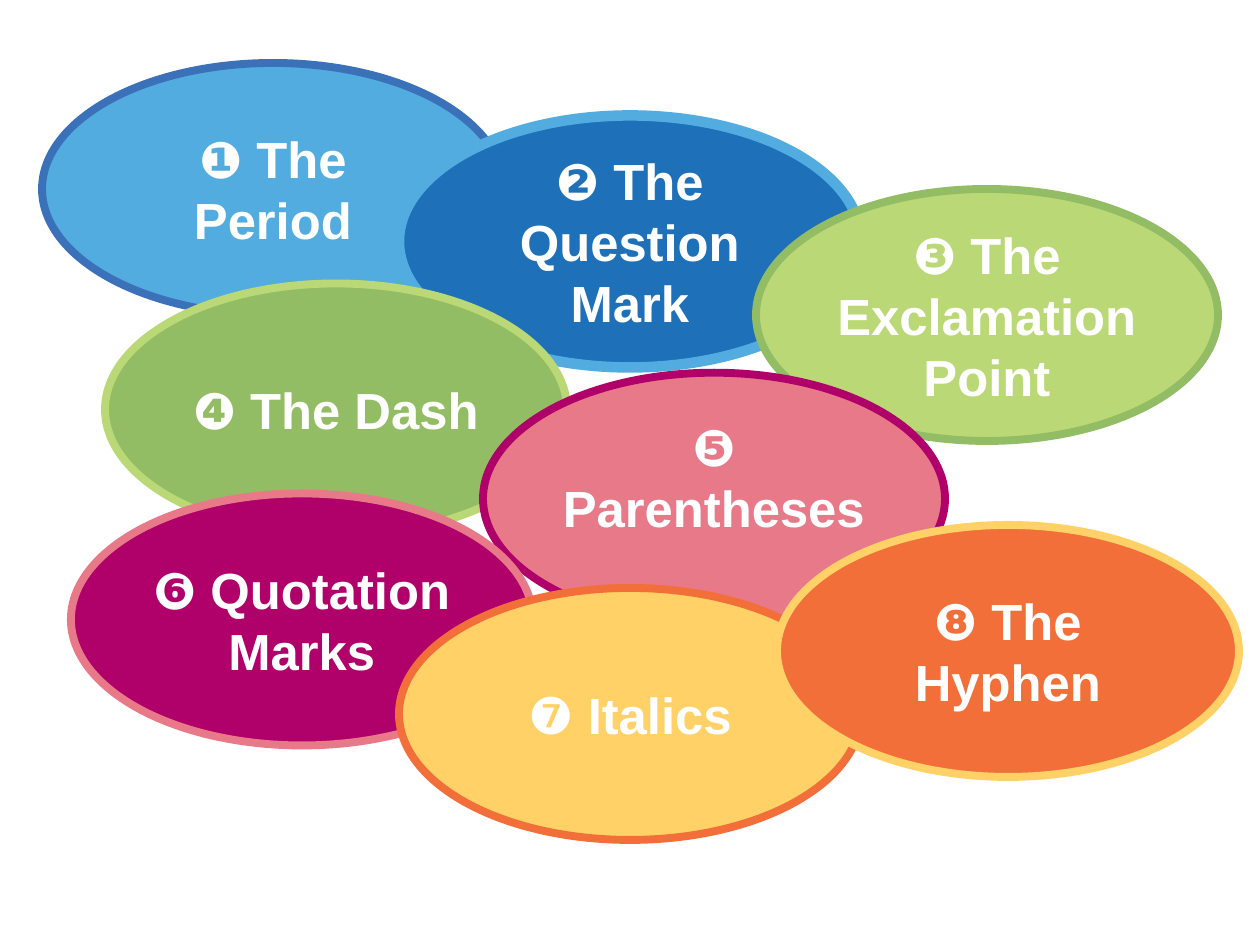
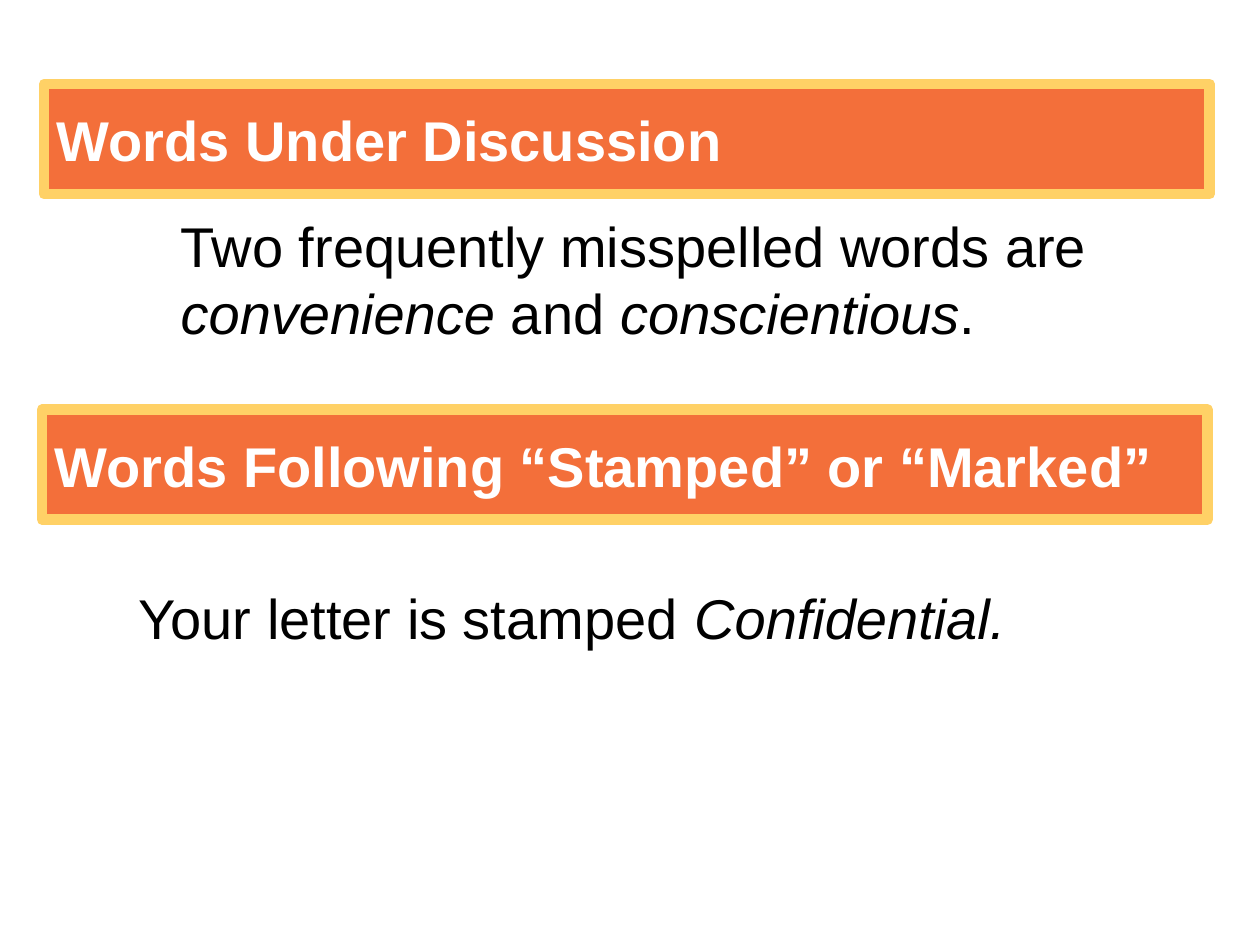
from pptx import Presentation
from pptx import util as u
from pptx.dml.color import RGBColor
from pptx.enum import shapes, text
from pptx.oxml.ns import qn

SKY = RGBColor(0x52, 0xAC, 0xE0)
STEEL = RGBColor(0x3B, 0x71, 0xB8)
BLUE = RGBColor(0x1E, 0x70, 0xB8)
GREEN = RGBColor(0x93, 0xBD, 0x64)
LIME = RGBColor(0xBA, 0xD8, 0x75)
PINK = RGBColor(0xE8, 0x79, 0x89)
PLUM = RGBColor(0xB0, 0x00, 0x69)
GOLD = RGBColor(0xFF, 0xD1, 0x66)
ORANGE = RGBColor(0xF3, 0x6F, 0x3A)
WHITE = RGBColor(0xFF, 0xFF, 0xFF)
BLACK = RGBColor(0x00, 0x00, 0x00)

FONT = "Arial"
CELL = u.Inches(1) // 12  # the grid has 120 columns and 90 rows
OVAL = (44, 24)
BAND = (111, 10.5)


def cells(*counts):
    return [u.Emu(int(n * CELL)) for n in counts]


def place(shape, *box):
    shape.left, shape.top, shape.width, shape.height = cells(*box)


def paint(shape, fill, edge, width):
    shape.fill.solid()
    shape.fill.fore_color.rgb = fill
    shape.line.color.rgb = edge
    shape.line.width = u.Pt(width)


def write(shape, runs, size, color, align, anchor):
    """Fill the frame with one paragraph of (words, bold, italic) runs."""
    frame = shape.text_frame
    frame.word_wrap = True
    frame.auto_size = text.MSO_AUTO_SIZE.NONE
    frame.vertical_anchor = anchor
    para = frame.paragraphs[0]
    para.alignment = align
    for words, bold, italic in runs:
        run = para.add_run()
        run.text = words
        font = run.font
        font.name, font.size = FONT, u.Pt(size)
        font.bold, font.italic = bold, italic
        font.color.rgb = color
    return para


def oval(slide, spot, runs, fill, edge, width=4.5, anchor=text.MSO_ANCHOR.MIDDLE):
    shape = slide.shapes.add_shape(shapes.MSO_SHAPE.OVAL, *cells(*spot, *OVAL))
    shape.shadow.inherit = False
    paint(shape, fill, edge, width)
    write(shape, runs, 29, WHITE, text.PP_ALIGN.CENTER, anchor)
    return shape


def band(shape, spot, words):
    """Turn a title or a rectangle into a heading band."""
    place(shape, *spot, *BAND)
    paint(shape, ORANGE, GOLD, 6)
    write(shape, [(words, True, False)], 32, WHITE,
          text.PP_ALIGN.LEFT, text.MSO_ANCHOR.MIDDLE)


def sample(shape, box, *parts):
    """Write an example whose every second part is in italics."""
    place(shape, *box)
    runs = [(part, False, i % 2 == 1) for i, part in enumerate(parts)]
    para = write(shape, runs, 32, BLACK, text.PP_ALIGN.LEFT, text.MSO_ANCHOR.TOP)
    para.space_before = u.Pt(6.4)
    props = para._p.get_or_add_pPr()
    props.set("marL", "0")
    props.set("indent", "0")
    props.append(props.makeelement(qn("a:buNone"), {}))


def marks(deck):
    slide = deck.slides.add_slide(deck.slide_layouts[6])

    def bold(words):
        return [(words, True, False)]

    oval(slide, (4, 6), bold("❶ The Period"), SKY, STEEL)
    oval(slide, (38, 11), bold("❷ The Question Mark"), BLUE, SKY, 6)
    oval(slide, (10, 27), bold("❹ The Dash"), GREEN, LIME)
    oval(slide, (72, 18), bold("❸ The Exclamation Point"), LIME, GREEN)
    wide = oval(slide, (46, 35.5), bold("❺ Parentheses"), PINK, PLUM,
                anchor=text.MSO_ANCHOR.TOP)
    wide.text_frame.margin_left = wide.text_frame.margin_right = 0
    oval(slide, (6.75, 47), bold("❻ Quotation Marks"), PLUM, PINK)
    oval(slide, (38, 56), [("❼ ", False, False), ("Italics", True, False)],
         GOLD, ORANGE)
    oval(slide, (74, 50), bold("❽ The Hyphen"), ORANGE, GOLD)


def italics(deck):
    slide = deck.slides.add_slide(deck.slide_layouts[1])
    title, body = slide.placeholders
    band(title, (4.2, 8), "Words Under Discussion")
    sample(body, (16, 19.5, 98, 15.5), "Two frequently misspelled words are ",
           "convenience", " and ", "conscientious", ".")

    head = slide.shapes.add_shape(shapes.MSO_SHAPE.RECTANGLE, *cells(4, 39, *BAND))
    head.shadow.inherit = False
    band(head, (4, 39), "Words Following “Stamped” or “Marked”")
    box = (12, 55, 98, 8.75)
    sample(slide.shapes.add_textbox(*cells(*box)), box,
           "Your letter is stamped ", "Confidential.")


def main():
    deck = Presentation()
    deck.slide_width, deck.slide_height = cells(120, 90)
    marks(deck)
    italics(deck)
    deck.save("out.pptx")


if __name__ == "__main__":
    main()
